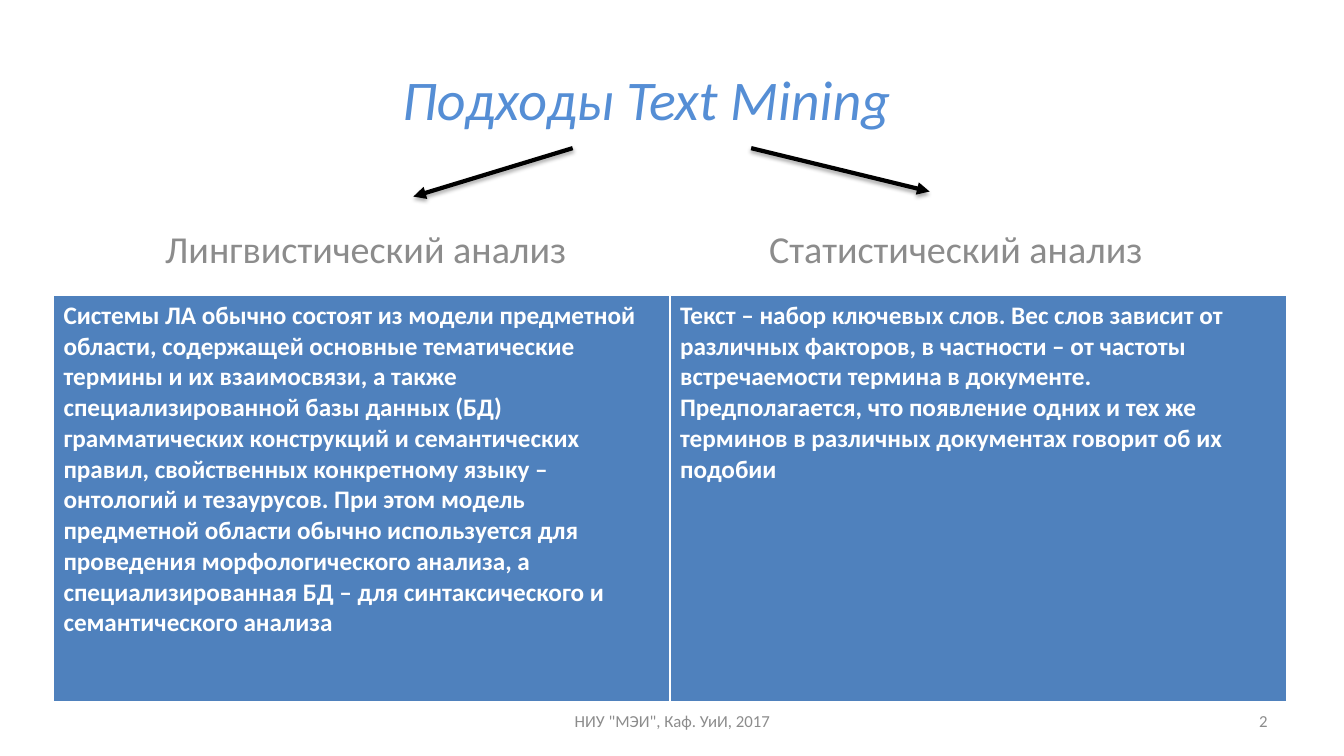
"""Build a slide that contrasts two approaches to text mining."""
from lxml import etree
from pptx import Presentation
from pptx.dml.color import RGBColor
from pptx.enum.shapes import MSO_CONNECTOR
from pptx.enum.text import MSO_ANCHOR, MSO_AUTO_SIZE, PP_ALIGN
from pptx.oxml import parse_xml
from pptx.oxml.ns import nsdecls, qn
from pptx.util import Inches, Pt

LEFT, CENTER, RIGHT = PP_ALIGN.LEFT, PP_ALIGN.CENTER, PP_ALIGN.RIGHT
TOP, MIDDLE = MSO_ANCHOR.TOP, MSO_ANCHOR.MIDDLE
STRAIGHT = MSO_CONNECTOR.STRAIGHT
NO_AUTOFIT = MSO_AUTO_SIZE.NONE

TITLE = "Подходы Text Mining"
APPROACHES = [
    {
        "heading": "Лингвистический анализ",
        "heading_left": 1.54,
        "arrow": ((5.68, 1.47), (4.1, 1.95)),
        "description": "Системы ЛА обычно состоят из модели предметной области, "
        "содержащей основные тематические термины и их взаимосвязи, а также "
        "специализированной базы данных (БД) грамматических конструкций и "
        "семантических правил, свойственных конкретному языку – онтологий и "
        "тезаурусов. При этом модель предметной области обычно используется для "
        "проведения морфологического анализа, а специализированная БД – для "
        "синтаксического и семантического анализа",
    },
    {
        "heading": "Статистический анализ",
        "heading_left": 7.53,
        "arrow": ((7.45, 1.47), (9.22, 1.9)),
        "description": "Текст – набор ключевых слов. Вес слов зависит от различных "
        "факторов, в частности – от частоты встречаемости термина в документе. "
        "Предполагается, что появление одних и тех же терминов в различных "
        "документах говорит об их подобии",
    },
]
FOOTERS = [
    ('НИУ "МЭИ", Каф. УиИ, 2017', (4.56, 6.95, 4.22, 0.4), CENTER),
    ("2", (9.56, 6.95, 3.11, 0.4), RIGHT),
]

THEME = {
    "font": "Calibri",
    "title": ("558ED5", 40),
    "heading": ("8C8C8C", 27.2),
    "cell": ("FFFFFF", 18),
    "footer": ("8C8C8C", 12),
    "arrow": ("000000", 3),
    "cell_fill": "4F81BD",
    "border": "FFFFFF",
}
TITLE_BOX = (1.41, 0.76, 10, 0.43)
TABLE_BOX = (0.53, 2.93, 12.23, 4.04)
HEADING_TOP, HEADING_WIDTH, HEADING_HEIGHT = 2.16, 4.5, 0.6
BORDERS = {"lnL": 1, "lnR": 1, "lnT": 1, "lnB": 3}


def inches(box):
    return [Inches(length) for length in box]


def write(frame, text, role, align=LEFT, anchor=MIDDLE, bold=False, italic=False):
    color, size = THEME[role]
    frame.text = text
    frame.word_wrap = True
    frame.vertical_anchor = anchor
    paragraph = frame.paragraphs[0]
    paragraph.alignment = align
    font = paragraph.runs[0].font
    font.name, font.size = THEME["font"], Pt(size)
    font.bold, font.italic = bold, italic
    font.color.rgb = RGBColor.from_string(color)


def add_label(slide, text, box, role, align=LEFT):
    label = slide.shapes.add_textbox(*inches(box))
    write(label.text_frame, text, role, align)


def add_arrow(slide, start, end):
    color, width = THEME["arrow"]
    arrow = slide.shapes.add_connector(STRAIGHT, *inches(start + end))
    arrow.line.color.rgb = RGBColor.from_string(color)
    arrow.line.width = Pt(width)
    etree.SubElement(arrow.line._get_or_add_ln(), qn("a:tailEnd"), type="triangle")
    arrow._element.spPr.append(parse_xml(
        f'<a:effectLst {nsdecls("a")}><a:outerShdw blurRad="{Pt(3.1)}" '
        f'dist="{Pt(1.8)}" dir="5400000" rotWithShape="0"><a:srgbClr val="{color}">'
        '<a:alpha val="35000"/></a:srgbClr></a:outerShdw></a:effectLst>'
    ))


def fill_cell(cell, description):
    write(cell.text_frame, description, "cell", bold=True)
    cell.vertical_anchor = TOP
    cell.fill.solid()
    cell.fill.fore_color.rgb = RGBColor.from_string(THEME["cell_fill"])
    properties = cell._tc.get_or_add_tcPr()
    for index, (side, width) in enumerate(BORDERS.items()):
        properties.insert(index, parse_xml(
            f'<a:{side} {nsdecls("a")} w="{Pt(width)}"><a:solidFill>'
            f'<a:srgbClr val="{THEME["border"]}"/></a:solidFill></a:{side}>'
        ))


def main():
    presentation = Presentation()
    presentation.slide_width, presentation.slide_height = inches((13.33, 7.5))
    slide = presentation.slides.add_slide(presentation.slide_layouts[5])

    title = slide.shapes.title
    title.left, title.top, title.width, title.height = inches(TITLE_BOX)
    write(title.text_frame, TITLE, "title", CENTER, italic=True)
    title.text_frame.auto_size = NO_AUTOFIT

    table = slide.shapes.add_table(1, len(APPROACHES), *inches(TABLE_BOX)).table
    for column, approach in enumerate(APPROACHES):
        heading_box = (approach["heading_left"], HEADING_TOP, HEADING_WIDTH, HEADING_HEIGHT)
        add_label(slide, approach["heading"], heading_box, "heading")
        add_arrow(slide, *approach["arrow"])
        fill_cell(table.cell(0, column), approach["description"])

    for text, box, align in FOOTERS:
        add_label(slide, text, box, "footer", align)

    presentation.save("out.pptx")


if __name__ == "__main__":
    main()
